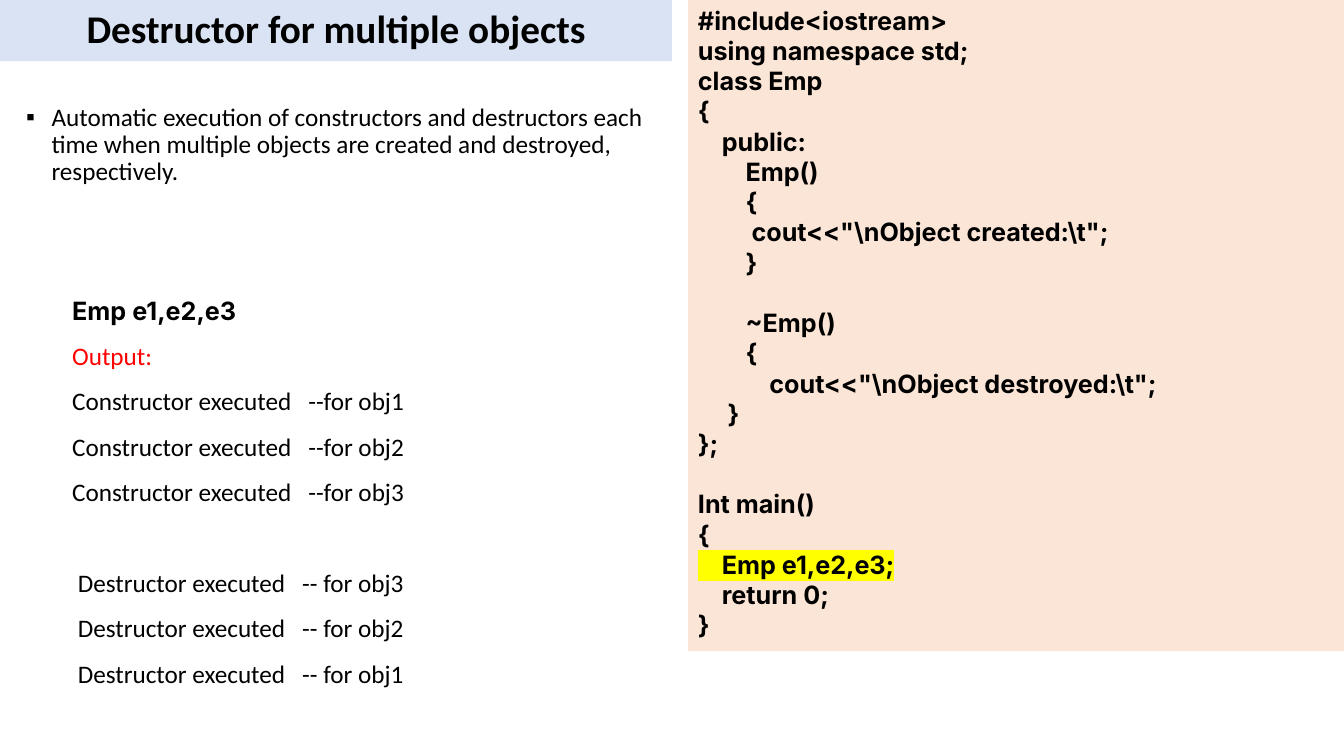
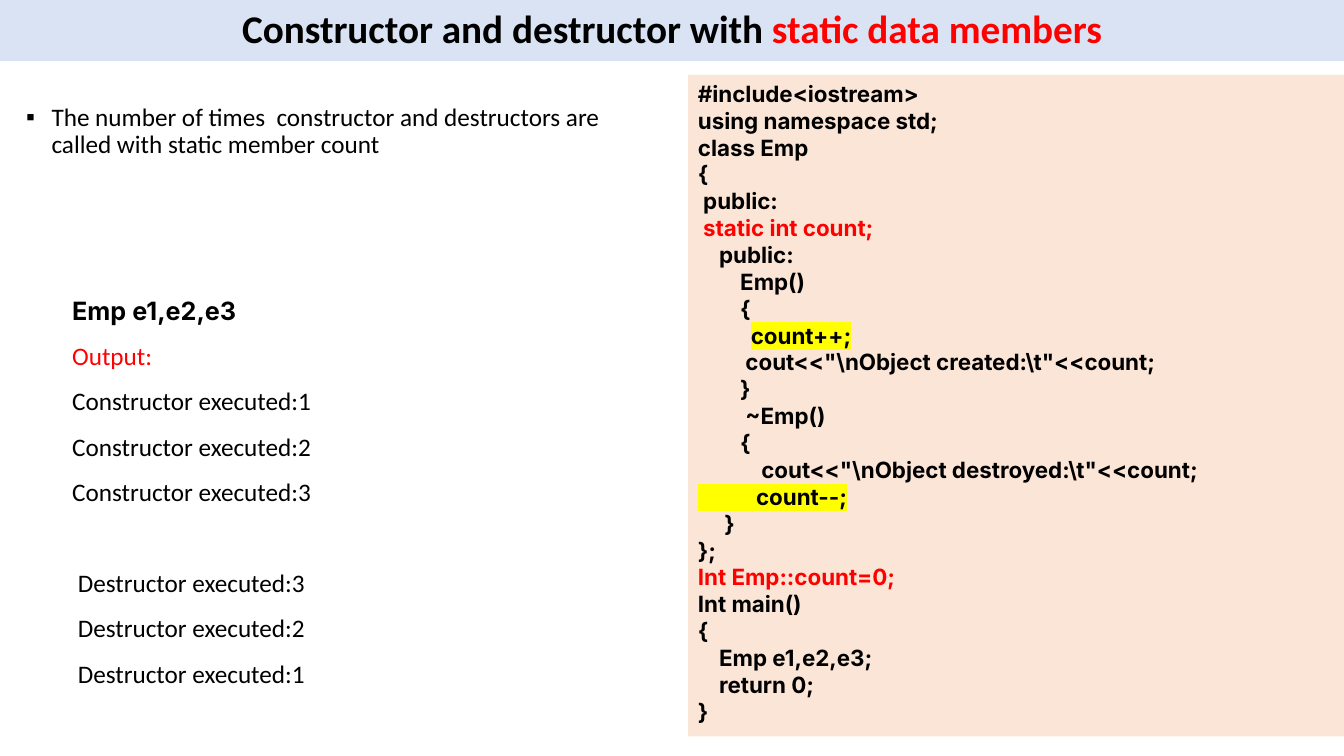
from lxml import etree
from pptx import Presentation
from pptx.dml.color import RGBColor
from pptx.enum.shapes import MSO_SHAPE
from pptx.enum.text import MSO_ANCHOR, MSO_AUTO_SIZE, PP_ALIGN
from pptx.oxml.ns import qn
from pptx.util import Cm, Pt

COLORS = {
    "text": "000000",
    "red": "FF0000",
    "mark": "FFFF00",
    "band": "DAE3F3",
    "code": "FBE5D6",
}
BODY_FONT, CODE_FONT = "Calibri", "Inter"
PAGE_WIDTH, PAGE_HEIGHT = 33.87, 19.05
CODE_LEFT = 17.34

# Slide content
OBJECTS_CODE = r"""
#include<iostream>
using namespace std;
class Emp
{
    public:
        Emp()
        {
         cout<<"\nObject created:\t";
        }

        ~Emp()
        {
            cout<<"\nObject destroyed:\t";
     }
};

Int main()
{
    Emp e1,e2,e3;
    return 0;
}
"""

STATIC_CODE = r"""
#include<iostream>
using namespace std;
class Emp
{
 public:
 static int count;
    public:
        Emp()
        {
          count++;
         cout<<"\nObject created:\t"<<count;
        }
         ~Emp()
        {
            cout<<"\nObject destroyed:\t"<<count;
           count--;
     }
};
Int Emp::count=0;
Int main()
{
    Emp e1,e2,e3;
    return 0;
}
"""


def rgb(name):
    return RGBColor.from_string(COLORS[name])


class LectureDeck:
    """Holds the shared style and the current slide."""

    def __init__(self):
        self.deck = Presentation()
        self.deck.slide_width = Cm(PAGE_WIDTH)
        self.deck.slide_height = Cm(PAGE_HEIGHT)
        self.page = None

    def new_page(self):
        self.page = self.deck.slides.add_slide(self.deck.slide_layouts[6])

    def panel(self, left, top, width, height, fill, anchor=MSO_ANCHOR.TOP):
        box = self.page.shapes.add_shape(
            MSO_SHAPE.RECTANGLE, Cm(left), Cm(top), Cm(width), Cm(height))
        box.shadow.inherit = False
        box.fill.solid()
        box.fill.fore_color.rgb = rgb(fill)
        box.line.fill.background()
        box.text_frame.word_wrap = True
        box.text_frame.vertical_anchor = anchor
        return box.text_frame

    def text_box(self, left, top, width, height):
        box = self.page.shapes.add_textbox(
            Cm(left), Cm(top), Cm(width), Cm(height))
        box.text_frame.word_wrap = True
        return box.text_frame

    def add_lines(self, frame, lines, font=BODY_FONT, size=18, bold=False,
                  align=PP_ALIGN.LEFT, spacing=1.0, accents=None):
        """Add one paragraph a line; an empty line becomes space before the next."""
        gap = 0
        for line in lines:
            if not line:
                gap = size * 1.2 * spacing
                continue
            first = frame.paragraphs[0]
            para = frame.add_paragraph() if first.runs else first
            para.alignment = align
            para.line_spacing = spacing
            para.space_before = Pt(gap)
            para.font.name = font
            para.font.size = Pt(size)
            para.font.bold = bold
            para.font.color.rgb = rgb("text")
            self.add_spans(para, line, accents or {})
            gap = 0

    def add_spans(self, para, line, accents):
        """Split the line around its accented part, if it has one."""
        accent = next((part for part in accents if part in line), None)
        for part in line.partition(accent) if accent else [line]:
            if not part:
                continue
            span = para.add_run()
            span.text = part
            if part != accent:
                continue
            if accents[part] == "mark":
                self.highlight(span)
            else:
                span.font.color.rgb = rgb(accents[part])

    def highlight(self, span):
        mark = etree.SubElement(span.font._element, qn("a:highlight"))
        etree.SubElement(mark, qn("a:srgbClr"), val=COLORS["mark"])

    def title(self, text, width, accents=None):
        frame = self.panel(0, 0, width, 1.54, "band", MSO_ANCHOR.MIDDLE)
        self.add_lines(frame, [text], size=28, bold=True, align=PP_ALIGN.CENTER,
                       spacing=0.9, accents=accents)

    def bullet(self, text):
        frame = self.text_box(0.41, 2.51, 16.13, 3.1)
        props = frame.paragraphs[0]._p.get_or_add_pPr()
        props.set("marL", str(Cm(0.64)))
        props.set("indent", str(-Cm(0.64)))
        etree.SubElement(props, qn("a:buFont"), typeface="Arial")
        etree.SubElement(props, qn("a:buChar"), char="▪")
        self.add_lines(frame, [text], spacing=0.9)

    def code(self, source, top, height, size, accents):
        frame = self.panel(CODE_LEFT, top, PAGE_WIDTH - CODE_LEFT, height, "code")
        frame.auto_size = MSO_AUTO_SIZE.SHAPE_TO_FIT_TEXT
        self.add_lines(frame, source.strip("\n").splitlines(), font=CODE_FONT,
                       size=size, bold=True, align=PP_ALIGN.JUSTIFY, accents=accents)

    def output(self, created, destroyed):
        frame = self.text_box(1.57, 6.93, 10.36, 11.68)
        frame.auto_size = MSO_AUTO_SIZE.SHAPE_TO_FIT_TEXT
        self.add_lines(frame, ["Emp e1,e2,e3"], font=CODE_FONT, bold=True, spacing=1.5)
        lines = ["Output:"]
        lines += [f"Constructor executed{created}{number}" for number in (1, 2, 3)]
        lines += [""]
        lines += [f" Destructor executed{destroyed}{number}" for number in (3, 2, 1)]
        self.add_lines(frame, lines, spacing=1.5, accents={"Output:": "red"})


def main():
    lecture = LectureDeck()

    # Destructor for multiple objects
    lecture.new_page()
    lecture.title("Destructor for multiple objects", PAGE_WIDTH / 2)
    lecture.bullet("Automatic execution of constructors and destructors each time "
                   "when multiple objects are created and destroyed, respectively.")
    lecture.code(OBJECTS_CODE, 0, 16.41, 18, {"    Emp e1,e2,e3;": "mark"})
    lecture.output("   --for obj", "   -- for obj")

    # Static data members
    lecture.new_page()
    lecture.title("Constructor and destructor with static data members", PAGE_WIDTH,
                  {"static data members": "red"})
    lecture.bullet("The number of times  constructor and destructors are called "
                   "with static member count")
    lecture.code(STATIC_CODE, 1.89, 16.67, 16, {
        "static int count;": "red",
        "count++;": "mark",
        "           count--;": "mark",
        "Int Emp::count=0;": "red",
    })
    lecture.output(":", ":")

    lecture.deck.save("out.pptx")


if __name__ == "__main__":
    main()
